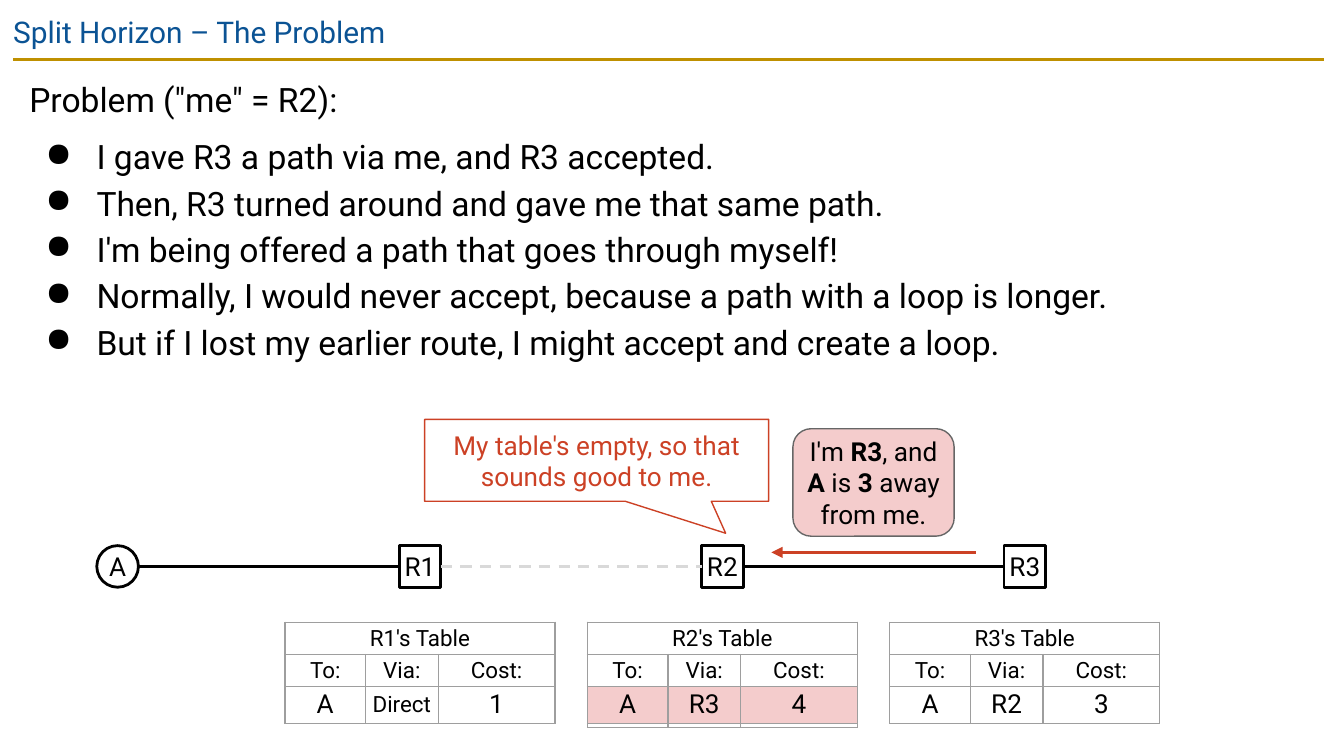
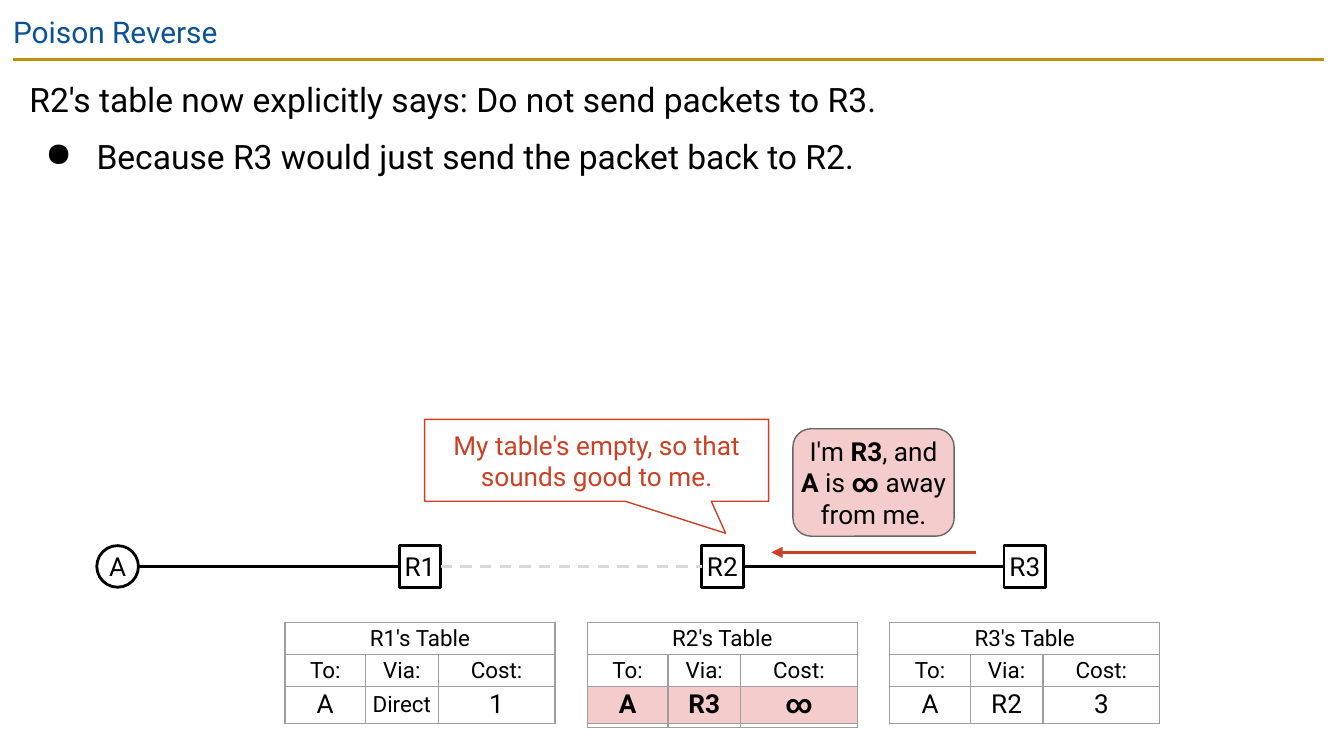
from lxml import etree
from pptx import Presentation
from pptx import util as u
from pptx.dml import color
from pptx.enum import dml, shapes, text
from pptx.oxml import ns

PX = u.Inches(1) // 200  # 200 px to the inch

BLACK, WHITE, BLUE, GOLD = "000000", "FFFFFF", "0B5394", "BF9000"
RED, PINK, DARK, GREY, PALE = "CC4125", "F4CCCC", "666666", "9E9E9E", "D9D9D9"

# Network layout
NODE, NODE_LEFT, NODE_TOP, NODE_STEP = 62, 144, 812, 450
NODE_MIDDLE = NODE_TOP + NODE // 2
COLUMNS, ROW, TABLE_TOP = (120, 108, 174), 26, 926


def rgb(value):
    return color.RGBColor.from_string(value)


def child(parent, tag, **attributes):
    return etree.SubElement(parent, ns.qn(tag), attributes)


class Deck:
    font = "Roboto"

    def __init__(self):
        self.presentation = Presentation()
        self.presentation.slide_width = 2000 * PX
        self.presentation.slide_height = 1125 * PX
        self.slide = None

    def new_slide(self, title):
        blank = self.presentation.slide_layouts[6]
        self.slide = self.presentation.slides.add_slide(blank)
        self.line(20, 88, 1970, 88, GOLD)
        frame = self.text_box(0, 0, 2000, 86)
        self.add_text(frame.paragraphs[0], title, 16, BLUE)

    def paint(self, fill, value):
        if value:
            fill.solid()
            fill.fore_color.rgb = rgb(value)
        else:
            fill.background()

    def add_text(self, paragraph, content, size, tint=BLACK, bold=False, centred=False):
        """Add text in which *stars* mark bold words."""
        for index, part in enumerate(content.split("*")):
            run = paragraph.add_run()
            run.text = part
            run.font.name = self.font
            run.font.size = u.Pt(size)
            run.font.color.rgb = rgb(tint)
            run.font.bold = bold or index % 2 == 1
        if centred:
            paragraph.alignment = text.PP_ALIGN.CENTER

    def text_box(self, left, top, width, height):
        box = self.slide.shapes.add_textbox(left * PX, top * PX, width * PX, height * PX)
        frame = box.text_frame
        frame.word_wrap = True
        frame.margin_left = frame.margin_right = 20 * PX
        frame.margin_top = frame.margin_bottom = 20 * PX
        return frame

    def body(self, height, lead, bullets):
        frame = self.text_box(24, 88, 1948, height)
        for index, content in enumerate([lead, *bullets]):
            paragraph = frame.paragraphs[0] if index == 0 else frame.add_paragraph()
            self.add_text(paragraph, content, 18)
            paragraph.line_spacing = 1.15
            paragraph.space_before = u.Pt(6 if index < 2 else 0)
            if index:
                properties = paragraph._p.get_or_add_pPr()
                properties.set("marL", str(100 * PX))
                properties.set("indent", str(-76 * PX))
                child(properties, "a:buChar", char="●")

    def shape(self, kind, box, content, fill, outline, weight, tint=BLACK, adjustments=()):
        shape = self.slide.shapes.add_shape(kind, *(value * PX for value in box))
        shape.shadow.inherit = False
        for index, value in enumerate(adjustments):
            shape.adjustments[index] = value
        self.paint(shape.fill, fill)
        shape.line.color.rgb = rgb(outline)
        shape.line.width = u.Pt(weight)
        frame = shape.text_frame
        frame.word_wrap = True
        frame.margin_left = frame.margin_right = frame.margin_top = frame.margin_bottom = 0
        frame.vertical_anchor = text.MSO_ANCHOR.MIDDLE
        self.add_text(frame.paragraphs[0], content, 14, tint, centred=True)
        return shape

    def line(self, x1, y1, x2, y2, tint, dashed=False, arrow=False):
        connector = self.slide.shapes.add_connector(
            shapes.MSO_CONNECTOR.STRAIGHT, x1 * PX, y1 * PX, x2 * PX, y2 * PX)
        connector.line.color.rgb = rgb(tint)
        connector.line.width = u.Pt(1.5)
        if dashed:
            connector.line.dash_style = dml.MSO_LINE.DASH
        properties = connector._element.spPr
        if arrow:
            child(properties.find(ns.qn("a:ln")), "a:headEnd", type="triangle")
        child(properties, "a:effectLst")
        return connector

    def borders(self, cell):
        properties = cell._tc.get_or_add_tcPr()
        for index, side in enumerate(("a:lnL", "a:lnR", "a:lnT", "a:lnB")):
            border = child(properties, side, w=str(u.Pt(0.75)))
            child(child(border, "a:solidFill"), "a:srgbClr", val=GREY)
            properties.insert(index, border)

    def table(self, left, title, route, head_fill=None, route_fill=None, bold=False):
        rows = [(title, "", ""), ("To:", "Via:", "Cost:"), route]
        frame = self.slide.shapes.add_table(
            3, 3, left * PX, TABLE_TOP * PX, sum(COLUMNS) * PX, 3 * ROW * PX)
        table = frame.table
        table.first_row = table.horz_banding = False
        for column, width in zip(table.columns, COLUMNS):
            column.width = width * PX
        for row_index, row in enumerate(rows):
            is_route = row_index == 2
            for column_index, content in enumerate(row):
                cell = table.cell(row_index, column_index)
                cell.margin_left = cell.margin_right = 0
                cell.margin_top = cell.margin_bottom = 4 * PX
                cell.vertical_anchor = text.MSO_ANCHOR.MIDDLE
                self.paint(cell.fill, route_fill if is_route else head_fill)
                self.borders(cell)
                paragraph = cell.text_frame.paragraphs[0]
                if content:
                    size = 14 if is_route and content != "Direct" else 12
                    self.add_text(paragraph, content, size, bold=bold and is_route, centred=True)
                else:
                    child(paragraph._p, "a:endParaRPr", sz="1600" if is_route else "1200")
        table.cell(0, 0).merge(table.cell(0, 2))

    def network(self, cost, r2_cost, bold):
        # Nodes and links
        kinds = shapes.MSO_SHAPE
        lefts = [NODE_LEFT + NODE_STEP * index for index in range(4)]
        nodes = [
            self.shape(kinds.RECTANGLE if index else kinds.OVAL,
                       (left, NODE_TOP, NODE, NODE), name, WHITE, BLACK, 1.5)
            for index, (left, name) in enumerate(zip(lefts, ("A", "R1", "R2", "R3")))]
        for index in range(3):
            broken = index == 1
            link = self.line(lefts[index] + NODE, NODE_MIDDLE, lefts[index + 1], NODE_MIDDLE,
                             PALE if broken else BLACK, dashed=broken)
            if index:
                link.begin_connect(nodes[index], 3)
            link.end_connect(nodes[index + 1], 1)

        # Routing tables, each centred under its router
        r1, r2, r3 = (left + (NODE - sum(COLUMNS)) // 2 for left in lefts[1:])
        self.table(r1, "R1's Table", ("A", "Direct", "1"))
        self.table(r2, "R2's Table", ("", "", ""), WHITE)
        self.table(r3, "R3's Table", ("A", "R2", "3"))

        # Advertisement and reply
        self.line(1148, 822, 1452, 822, RED, arrow=True)
        self.shape(kinds.ROUNDED_RECTANGLE, (1180, 638, 240, 160),
                   f"I'm *R3*, and *A* is *{cost}* away from me.",
                   PINK, DARK, 0.75, adjustments=(0.17,))
        self.shape(kinds.ROUNDED_RECTANGULAR_CALLOUT, (632, 624, 512, 122),
                   "My table's empty, so that sounds good to me.",
                   None, RED, 0.75, RED, (0.375, 0.89, 0))
        self.table(r2, "R2's Table", ("A", "R3", r2_cost), WHITE, PINK, bold)


def main():
    deck = Deck()

    # Split horizon
    deck.new_slide("Split Horizon – The Problem")
    deck.network("3", "4", bold=False)
    deck.body(490, 'Problem ("me" = R2):', [
        "I gave R3 a path via me, and R3 accepted.",
        "Then, R3 turned around and gave me that same path.",
        "I'm being offered a path that goes through myself!",
        "Normally, I would never accept, because a path with a loop is longer.",
        "But if I lost my earlier route, I might accept and create a loop.",
    ])

    # Poison reverse
    deck.new_slide("Poison Reverse")
    deck.network("∞", "∞", bold=True)
    deck.body(270, "R2's table now explicitly says: Do not send packets to R3.", [
        "Because R3 would just send the packet back to R2.",
    ])

    deck.presentation.save("out.pptx")


if __name__ == "__main__":
    main()
